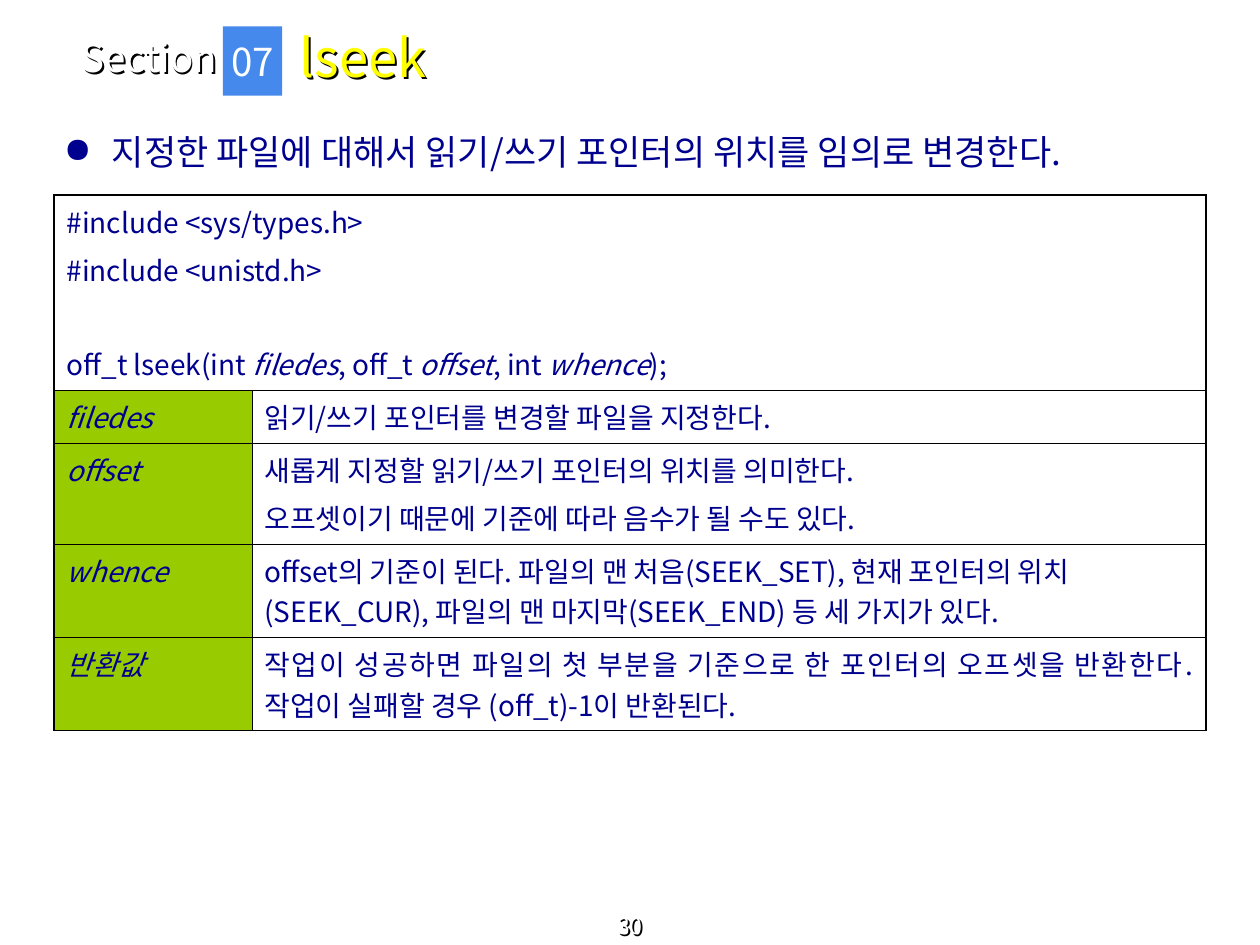
from lxml import etree
from pptx import Presentation
from pptx.dml.color import RGBColor
from pptx.enum import shapes, text
from pptx.oxml.ns import qn
from pptx.util import Inches, Pt

# Content: cells hold paragraphs, paragraphs hold (words, italic) runs
FACE = "Noto Sans CJK KR"
NAVY, WHITE, BLACK = "00008E", "FFFFFF", "000000"
LEAD = "지정한 파일에 대해서 읽기/쓰기 포인터의 위치를 임의로 변경한다."
CODE = [
    [("#include <sys/types.h>", False)],
    [("#include <unistd.h>", False)],
    [("off_t lseek(int ", False), ("filedes", True), (", off_t ", False),
     ("offset", True), (", int ", False), ("whence", True), (");", False)],
]
TERMS = [
    ("filedes", ["읽기/쓰기 포인터를 변경할 파일을 지정한다."]),
    ("offset", ["새롭게 지정할 읽기/쓰기 포인터의 위치를 의미한다.",
                "오프셋이기 때문에 기준에 따라 음수가 될 수도 있다."]),
    ("whence", ["offset의 기준이 된다. 파일의 맨 처음(SEEK_SET), 현재 포인터의 "
                "위치(SEEK_CUR), 파일의 맨 마지막(SEEK_END) 등 세 가지가 있다."]),
    ("반환값", ["작업이 성공하면 파일의 첫 부분을 기준으로 한 포인터의 오프셋을 "
             "반환한다. 작업이 실패할 경우 (off_t)-1이 반환된다."]),
]
COLS = [1.57, 7.57]
ROWS = [1.54, 0.42, 0.8, 0.74, 0.74]
THICK, THIN = 1.08, 0.45


def color(code):
    return RGBColor.from_string(code)


def sub(parent, tag, **attrs):
    return etree.SubElement(parent, qn(tag), attrs)


def add_run(para, words, size, code, italic=False):
    run = para.add_run()
    run.text = words
    look = {"name": FACE, "size": Pt(size), "italic": italic}
    for key, value in look.items():
        setattr(run.font, key, value)
    run.font.color.rgb = color(code)
    sub(run._r.get_or_add_rPr(), "a:ea", typeface=FACE)


def set_text(shape, words, size, code, align="LEFT", anchor="MIDDLE", wrap=True):
    frame = shape.text_frame
    look = {
        "word_wrap": wrap, "auto_size": text.MSO_AUTO_SIZE.NONE,
        "vertical_anchor": getattr(text.MSO_ANCHOR, anchor),
        "margin_left": Inches(0.1), "margin_right": Inches(0.1),
        "margin_top": Inches(0.05), "margin_bottom": Inches(0.05),
    }
    for key, value in look.items():
        setattr(frame, key, value)
    para = frame.paragraphs[0]
    para.alignment = getattr(text.PP_ALIGN, align)
    add_run(para, words, size, code)
    return para


def add_shadow(shape):
    effects = sub(shape._element.spPr, "a:effectLst")
    cast = sub(effects, "a:outerShdw", dist=str(Inches(0.02)), dir="2700000")
    sub(cast, "a:srgbClr", val=BLACK)


def add_box(at, *args, **kwargs):
    box = slide.shapes.add_textbox(*map(Inches, at))
    return box, set_text(box, *args, **kwargs)


def fill_cell(cell, paras):
    cell.margin_left = cell.margin_right = Inches(0.1)
    cell.margin_top = cell.margin_bottom = Inches(0.05)
    for i, runs in enumerate(paras):
        para = cell.text_frame.paragraphs[0] if i == 0 else cell.text_frame.add_paragraph()
        if i:
            para.space_before = Pt(4)
        for words, italic in runs:
            add_run(para, words, 16, NAVY, italic)


def style_cell(cell, row, col):
    props = cell._tc.get_or_add_tcPr()
    outer = {"L": col == 0, "R": col == 1 or row == 0,
             "T": row == 0, "B": row == len(ROWS) - 1}
    for side, edge in outer.items():
        line = sub(props, "a:ln" + side, w=str(Pt(THICK if edge else THIN)))
        sub(sub(line, "a:solidFill"), "a:srgbClr", val=BLACK)
    if row and col == 0:
        cell.fill.solid()
        cell.fill.fore_color.rgb = color("99CC00")
    else:
        cell.fill.background()


deck = Presentation()
deck.slide_width, deck.slide_height = Inches(10), Inches(7.5)
slide = deck.slides.add_slide(deck.slide_layouts[5])

# Heading: section label, title, number tile
label, _ = add_box((0.55, 0.27, 1.93, 0.37), "Section", 22, WHITE)
add_shadow(label)

title = slide.shapes.title
title.left, title.top, title.width, title.height = map(Inches, (2.28, 0.11, 6.49, 0.68))
set_text(title, "lseek", 30, "FFFF00")
add_shadow(title)

tile = slide.shapes.add_shape(shapes.MSO_SHAPE.RECTANGLE,
                              *map(Inches, (1.77, 0.21, 0.47, 0.55)))
tile.shadow.inherit = False
tile.fill.solid()
tile.fill.fore_color.rgb = color("4589ED")
tile.line.fill.background()
set_text(tile, "07", 22, WHITE, align="CENTER", wrap=False)

# Lead sentence with bullet
_, lead = add_box((0.33, 0.99, 9.33, 0.55), LEAD, 20, NAVY, anchor="TOP")
props = lead._p.get_or_add_pPr()
props.set("marL", str(Inches(0.46)))
props.set("indent", str(Inches(-0.38)))
sub(sub(props, "a:buClr"), "a:srgbClr", val=NAVY)
sub(props, "a:buChar", char="●")

# Table: prototype row, then one row per term
table = slide.shapes.add_table(len(ROWS), len(COLS), Inches(0.43), Inches(1.55),
                               Inches(sum(COLS)), Inches(sum(ROWS))).table
for col, width in zip(table.columns, COLS):
    col.width = Inches(width)
for row, height in zip(table.rows, ROWS):
    row.height = Inches(height)
table.cell(0, 0).merge(table.cell(0, 1))
fill_cell(table.cell(0, 0), CODE)
table.cell(0, 0).text_frame.paragraphs[-1].space_before = Pt(31)
for r, (term, notes) in enumerate(TERMS, 1):
    fill_cell(table.cell(r, 0), [[(term, True)]])
    fill_cell(table.cell(r, 1), [[(note, False)] for note in notes])
last = table.cell(len(TERMS), 1).text_frame.paragraphs[0]
last.alignment = text.PP_ALIGN.JUSTIFY
for r in range(len(ROWS)):
    for c in range(len(COLS)):
        style_cell(table.cell(r, c), r, c)

# Page number
page, _ = add_box((0, 7.28, 10, 0.22), "30", 13, WHITE, align="CENTER", anchor="BOTTOM")
add_shadow(page)

deck.save("out.pptx")
